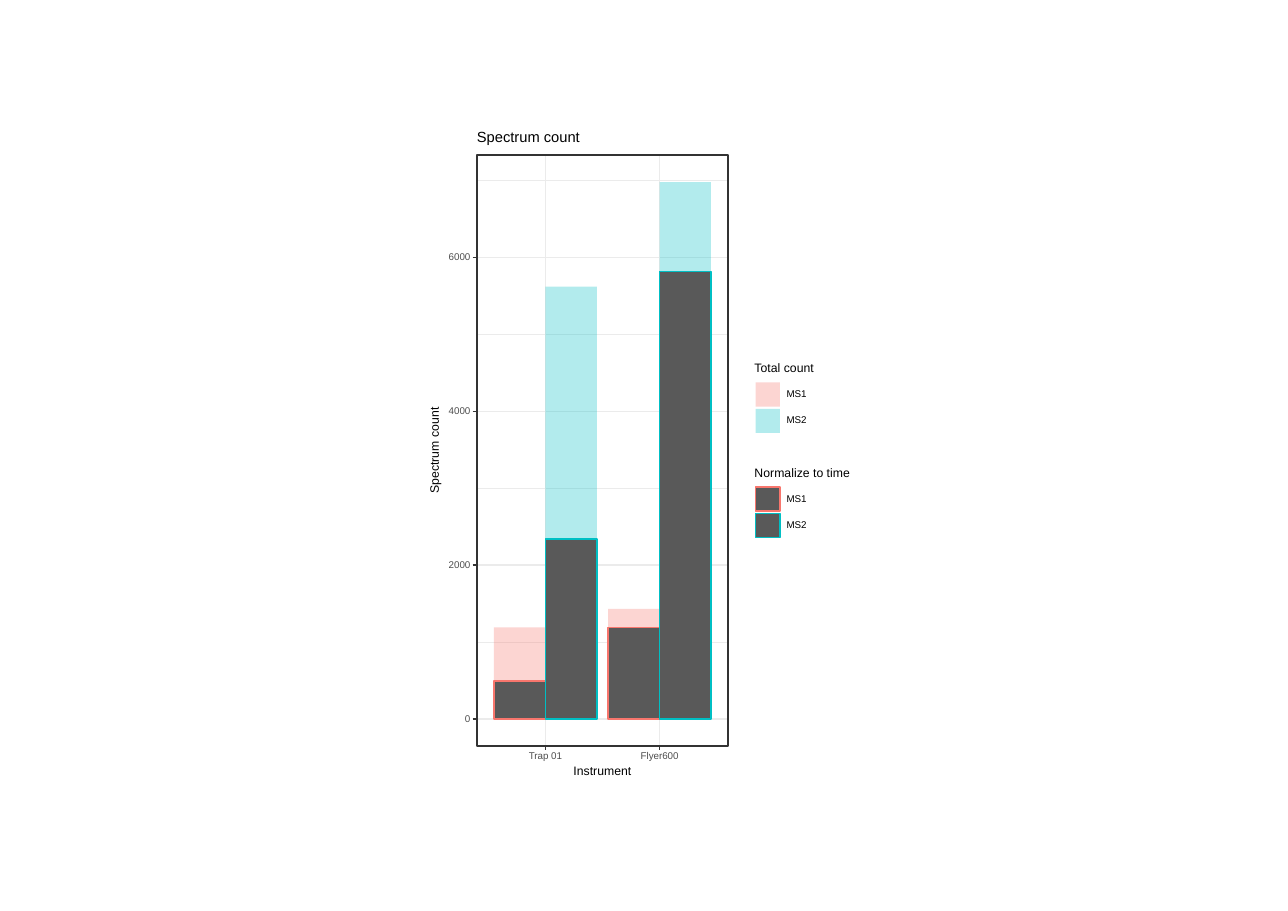
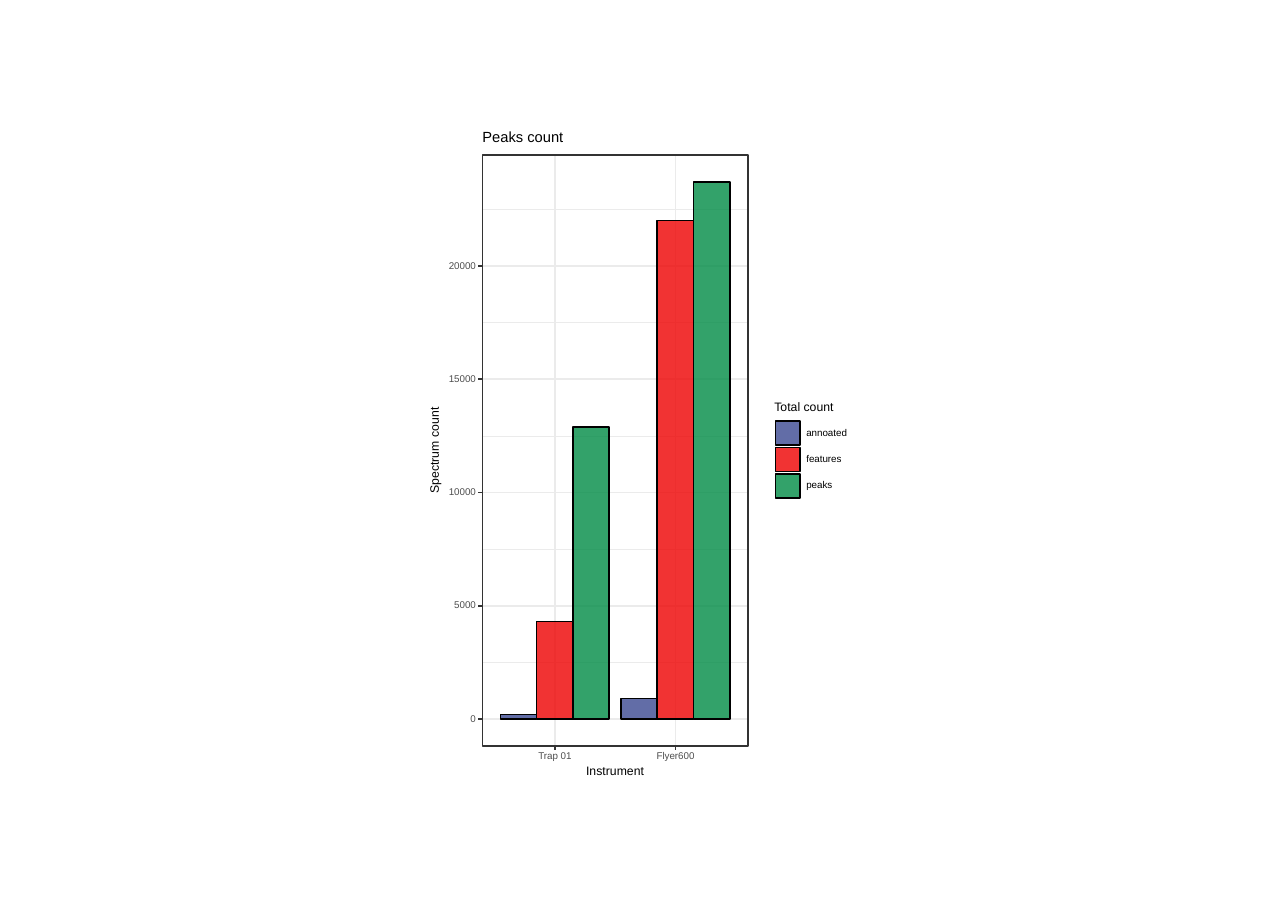
from lxml import etree
from pptx import Presentation
from pptx.chart.data import CategoryChartData
from pptx.dml.color import RGBColor
from pptx.enum.chart import XL_CHART_TYPE, XL_TICK_LABEL_POSITION, XL_TICK_MARK
from pptx.enum.shapes import MSO_CONNECTOR, MSO_SHAPE
from pptx.enum.text import MSO_ANCHOR, PP_ALIGN
from pptx.oxml import parse_xml
from pptx.oxml.ns import nsdecls, qn
from pptx.util import Inches, Mm, Pt

CLUSTERED = XL_CHART_TYPE.COLUMN_CLUSTERED
NO_LABELS, NO_TICKS = XL_TICK_LABEL_POSITION.NONE, XL_TICK_MARK.NONE
STRAIGHT, RECT, MIDDLE = MSO_CONNECTOR.STRAIGHT, MSO_SHAPE.RECTANGLE, MSO_ANCHOR.MIDDLE
LEFT, CENTER, RIGHT = PP_ALIGN.LEFT, PP_ALIGN.CENTER, PP_ALIGN.RIGHT
SHARE = {LEFT: 0, CENTER: 0.5, RIGHT: 1}

BLACK, INK, GRAY, GRID, DARK = "000000", "333333", "4D4D4D", "EBEBEB", "595959"
SALMON, TEAL = "F8766D", "00BFC4"
BLUE, RED, GREEN = "3B4992", "EE0000", "008B45"
FONT, SMALL, BODY, TITLE = "Arial", 6.4, 8, 9.6
THIN, THICK = 0.53, 1.07
TOP, HEIGHT = 1.41, 5.36
BOTTOM = TOP + HEIGHT
ZERO = BOTTOM - HEIGHT * 0.05 / 1.1
PAD, TICK, KEY_STEP = 0.1, 0.04, 0.24
INSTRUMENTS = ("Trap 01", "Flyer600")


def rgb(hex_color):
    return RGBColor.from_string(hex_color)


class Plot:
    """Draws grouped bar plots in one style on the current slide."""

    def __init__(self, prs):
        self.prs = prs

    def new_slide(self, left, width, peak):
        self.s = self.prs.slides.add_slide(self.prs.slide_layouts[6])
        self.left, self.width = left, width
        self.top_value = peak * 1.05
        self.spacing = width / (len(INSTRUMENTS) + 0.2)

    def paint(self, item, fill, opacity=100, line=None):
        if fill:
            item.fill.solid()
            item.fill.fore_color.rgb = rgb(fill)
            if opacity < 100:
                color = item.fill._xPr.find(qn("a:solidFill")).find(qn("a:srgbClr"))
                etree.SubElement(color, qn("a:alpha"), val=str(opacity * 1000))
        else:
            item.fill.background()
        if line:
            item.line.color.rgb = rgb(line)
            item.line.width = Pt(THICK)
        else:
            item.line.fill.background()

    def box(self, x, y, w, h, fill, opacity=100, line=None):
        sp = self.s.shapes.add_shape(RECT, Inches(x), Inches(y), Inches(w), Inches(h))
        sp.shadow.inherit = False
        self.paint(sp, fill, opacity, line)

    def line(self, x1, y1, x2, y2, color=INK, weight=THICK):
        c = self.s.shapes.add_connector(STRAIGHT, Inches(x1), Inches(y1), Inches(x2), Inches(y2))
        c.line.color.rgb = rgb(color)
        c.line.width = Pt(weight)
        etree.SubElement(c._element.spPr, qn("a:effectLst"))

    def label(self, text, x, y, size=SMALL, color=BLACK, align=LEFT, rotation=0):
        w, h = 0.04 + len(text) * size * 0.0075, size / 100
        sp = self.s.shapes.add_textbox(
            Inches(x - w * SHARE[align]), Inches(y - h / 2), Inches(w), Inches(h))
        sp.rotation = rotation
        tf = sp.text_frame
        tf.margin_left = tf.margin_right = tf.margin_top = tf.margin_bottom = 0
        tf.word_wrap = False
        tf.vertical_anchor = MIDDLE
        tf.text = text
        p = tf.paragraphs[0]
        p.alignment = align
        p.line_spacing = Pt(size)
        font = p.runs[0].font
        font.name, font.size, font.color.rgb = FONT, Pt(size), rgb(color)

    def panel(self, title, step):
        left, right = self.left, self.left + self.width
        scale = (ZERO - TOP) / self.top_value
        count = int(self.top_value / (step / 2))
        for i in range(1, count + 1, 2):
            y = ZERO - i * step / 2 * scale
            self.line(left, y, right, y, GRID, THIN)
        for value in range(0, int(self.top_value), step):
            y = ZERO - value * scale
            self.line(left, y, right, y, GRID)
            self.line(left - TICK, y, left, y)
            self.label(str(value), left - 0.06, y, color=GRAY, align=RIGHT)
        for i, name in enumerate(INSTRUMENTS):
            x = left + (i + 0.6) * self.spacing
            self.line(x, TOP, x, BOTTOM, GRID)
            self.line(x, BOTTOM, x, BOTTOM + TICK)
            self.label(name, x, BOTTOM + 0.1, color=GRAY, align=CENTER)
        self.box(left, TOP, self.width, HEIGHT, None, line=INK)
        self.label(title, left, 1.25, TITLE)
        self.label("Instrument", left + self.width / 2, BOTTOM + 0.23, BODY, align=CENTER)
        self.label("Spectrum count", 3.95, TOP + HEIGHT / 2, BODY, align=CENTER, rotation=270)

    def bars(self, series):
        data = CategoryChartData()
        data.categories = INSTRUMENTS
        for name, values, *_ in series:
            data.add_series(name, values)
        w, h = self.spacing * len(INSTRUMENTS), ZERO - TOP
        full_w, full_h = w + 2 * PAD, h + 2 * PAD
        chart = self.s.shapes.add_chart(
            CLUSTERED, Inches(self.left + self.spacing * 0.1 - PAD), Inches(TOP - PAD),
            Inches(full_w), Inches(full_h), data).chart
        chart.has_legend = chart.has_title = False
        chart.font.name, chart.font.size, chart.font.color.rgb = FONT, Pt(SMALL), rgb(GRAY)
        for axis in (chart.category_axis, chart.value_axis):
            axis.has_major_gridlines = False
            axis.tick_label_position = NO_LABELS
            axis.major_tick_mark = axis.minor_tick_mark = NO_TICKS
            axis.format.line.fill.background()
        chart.value_axis.minimum_scale = 0
        chart.value_axis.maximum_scale = self.top_value
        plot = chart.plots[0]
        plot.vary_by_categories = False
        plot.overlap = 0
        plot.gap_width = round(100 * len(series) / 9)
        for bar, (_, _, *look) in zip(plot.series, series):
            bar.invert_if_negative = False
            self.paint(bar.format, *look)
        self.place_plot(chart, (PAD / full_w, PAD / full_h, w / full_w, h / full_h))

    def place_plot(self, chart, fractions):
        clear = (f'<c:spPr {nsdecls("c", "a")}><a:noFill/>'
                 '<a:ln><a:noFill/></a:ln></c:spPr>')
        body = chart.element.find(qn("c:chart"))
        body.addnext(parse_xml(clear))
        area = body.find(qn("c:plotArea"))
        area.append(parse_xml(clear))
        for old in area.findall(qn("c:layout")):
            area.remove(old)
        layout = etree.Element(qn("c:layout"))
        manual = etree.SubElement(layout, qn("c:manualLayout"))
        settings = [("layoutTarget", "inner"), ("xMode", "edge"), ("yMode", "edge")]
        settings += zip("xywh", fractions)
        for tag, value in settings:
            etree.SubElement(manual, qn(f"c:{tag}"), val=str(value))
        area.insert(0, layout)

    def legend(self, title, x, y, series):
        self.label(title, x, y - 0.11, BODY)
        for i, (name, _, *look) in enumerate(series):
            key_y = y + i * KEY_STEP
            self.box(x + 0.01, key_y + 0.01, 0.22, 0.22, *look)
            self.label(name, x + 0.29, key_y + KEY_STEP / 2)


def main():
    prs = Presentation()
    prs.slide_width, prs.slide_height = Mm(297), Mm(210)
    plot = Plot(prs)

    total = [("MS1", (1190, 1430), SALMON, 30), ("MS2", (5620, 6980), TEAL, 30)]
    normalized = [("MS1", (490, 1190), DARK, 100, SALMON),
                  ("MS2", (2340, 5820), DARK, 100, TEAL)]
    plot.new_slide(4.33, 2.28, 6980)
    plot.panel("Spectrum count", 2000)
    plot.bars(total)
    plot.bars(normalized)
    plot.legend("Total count", 6.85, 3.46, total)
    plot.legend("Normalize to time", 6.85, 4.41, normalized)

    peaks = [("annoated", (200, 900), BLUE, 80, BLACK),
             ("features", (4300, 22000), RED, 80, BLACK),
             ("peaks", (12900, 23700), GREEN, 80, BLACK)]
    plot.new_slide(4.38, 2.41, 23700)
    plot.panel("Peaks count", 5000)
    plot.bars(peaks)
    plot.legend("Total count", 7.03, 3.81, peaks)

    prs.save("out.pptx")


if __name__ == "__main__":
    main()
